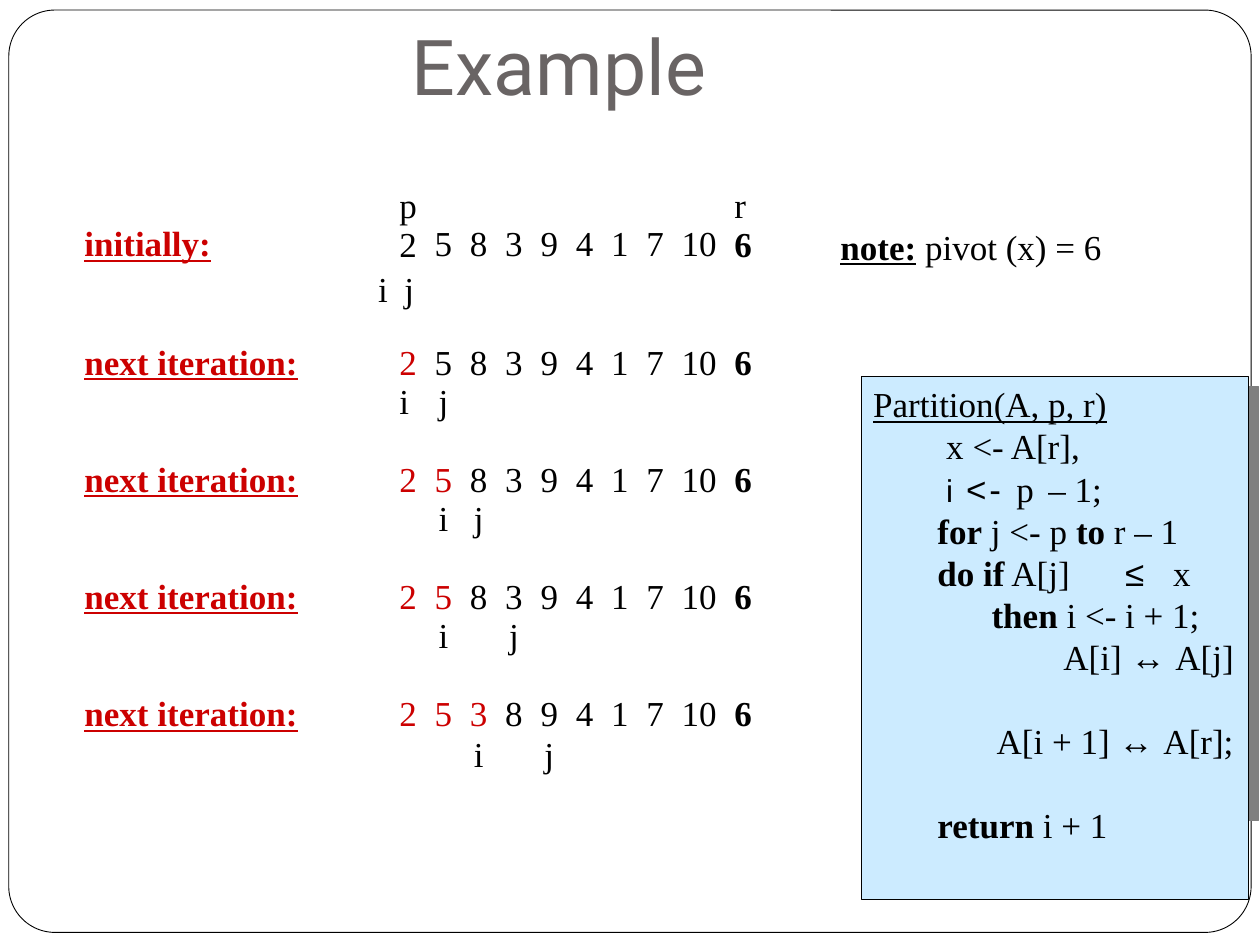
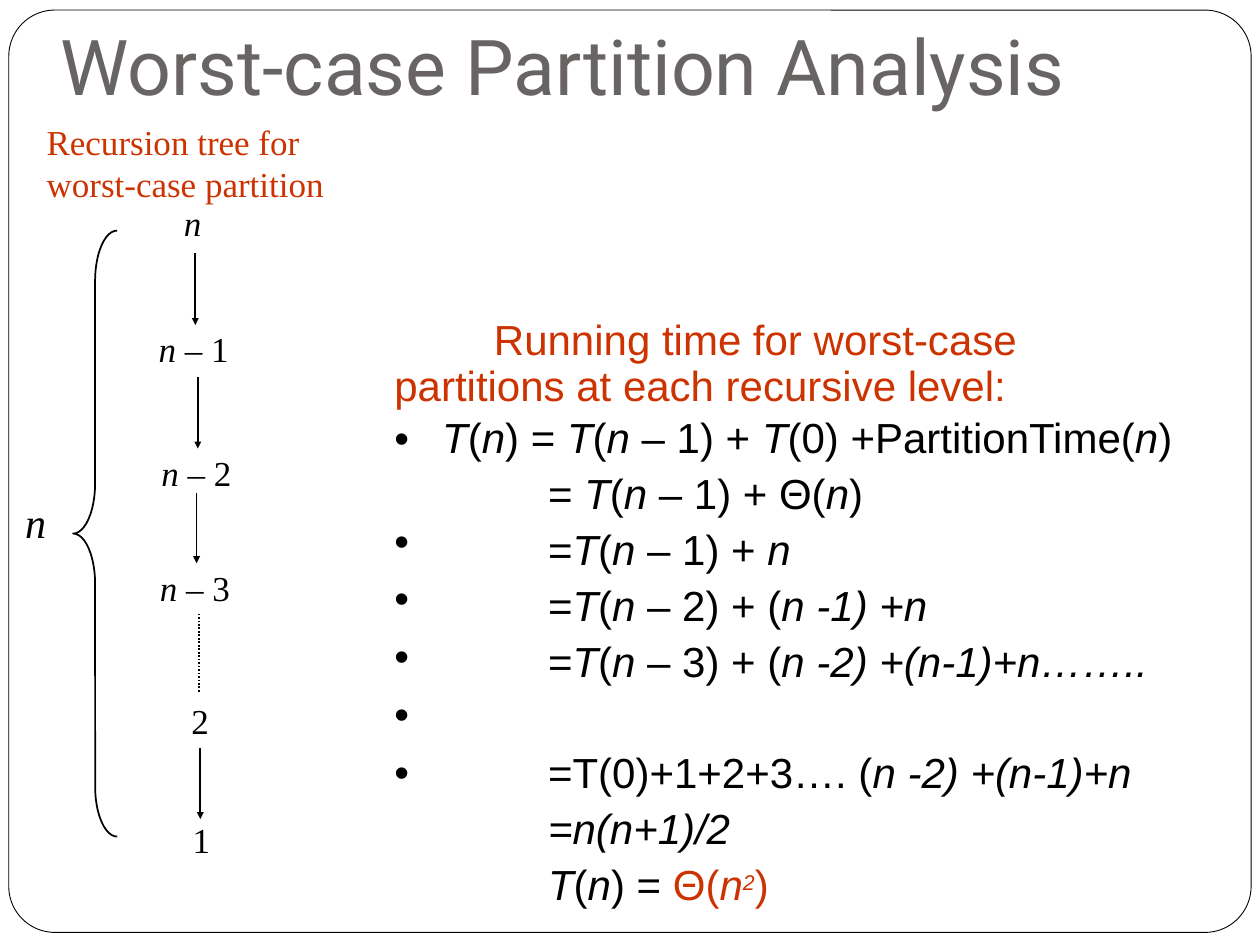
from lxml.etree import SubElement
from pptx import Presentation
from pptx.dml.color import RGBColor
from pptx.enum.dml import MSO_LINE
from pptx.enum.shapes import MSO_CONNECTOR, MSO_SHAPE
from pptx.enum.text import MSO_ANCHOR, MSO_AUTO_SIZE, PP_ALIGN
from pptx.oxml.ns import qn
from pptx.util import Inches, Pt

COLORS = {
    "white": "FFFFFF", "black": "000000", "title": "696464", "red": "CC0000",
    "rust": "CC3300", "shadow": "7F7F7F", "code": "CCEBFF",
}
SERIF, SANS = "Times New Roman", "Arial"
BODY = {"name": SERIF, "size": 20, "color": "black"}
FORMULA = {"name": SANS, "size": 24, "color": "black"}
LEADING = 1.2

COLUMN_WIDTHS = [2.04, 0.44, 0.26] + [0.28] * 7 + [0.42, 0.25]
ROW_HEIGHTS = [0.65, 0.47, 0.93, 0.93, 0.93, 0.79]
COLUMN_INDENTS = {0: 0.03, 2: 0.05, 10: 0.07, 11: 0.07}
FIRST_VALUE = 2
START = [2, 5, 8, 3, 9, 4, 1, 7, 10, 6]
SWAPPED = [2, 5, 3, 8, 9, 4, 1, 7, 10, 6]
ITERATIONS = [
    (START, 1, {2: "i", 3: "j"}),
    (START, 2, {3: "i", 4: "j"}),
    (START, 2, {3: "i", 5: "j"}),
    (SWAPPED, 3, {4: "i", 6: "j"}),
]


def color(name):
    return RGBColor.from_string(COLORS[name])


def marked(text, emphasis):
    runs = []
    for index, piece in enumerate(text.split("~")):
        for part, words in enumerate(piece.split("*")):
            style = {emphasis: part % 2 == 1}
            if index % 2:
                style["name"] = SANS
            if words:
                runs.append((words, style))
    return runs


def add_run(paragraph, text, style):
    run = paragraph.add_run()
    run.text = text
    for key, value in style.items():
        if key == "color":
            run.font.color.rgb = color(value)
        elif key in ("spc", "baseline"):
            run._r.get_or_add_rPr().set(key, str(value))
        else:
            setattr(run.font, key, Pt(value) if key == "size" else value)


def write_paragraph(paragraph, runs, base, left=0.01, first=0, before=0,
                    line=None, align=PP_ALIGN.LEFT, tabs=()):
    values = {"alignment": align, "space_before": Pt(before)}
    if line:
        values["line_spacing"] = Pt(line)
    for key, value in values.items():
        setattr(paragraph, key, value)
    properties = paragraph._p.get_or_add_pPr()
    properties.set("marL", str(Inches(left)))
    properties.set("indent", str(Inches(first)))
    if tabs:
        tab_list = SubElement(properties, qn("a:tabLst"))
        for position in tabs:
            SubElement(tab_list, qn("a:tab"), pos=str(Inches(position)), algn="l")
    for text, style in runs:
        add_run(paragraph, text, {**base, **style})


def write_paragraphs(frame, paragraphs, base):
    for index, (runs, layout) in enumerate(paragraphs):
        paragraph = frame.add_paragraph() if index else frame.paragraphs[0]
        layout = {"line": base["size"] * LEADING, **layout}
        write_paragraph(paragraph, runs, base, **layout)


def write_text(frame, paragraphs, base, top=0.01):
    settings = {
        "margin_left": 0, "margin_right": 0, "margin_bottom": 0,
        "margin_top": Inches(top), "word_wrap": True,
        "vertical_anchor": MSO_ANCHOR.TOP,
    }
    for key, value in settings.items():
        setattr(frame, key, value)
    write_paragraphs(frame, paragraphs, base)


def add_text(slide, box, paragraphs, base=BODY, top=0.01):
    text_box = slide.shapes.add_textbox(*map(Inches, box))
    write_text(text_box.text_frame, paragraphs, base, top)


def add_shape(slide, kind, box, fill=None, line="black", width=0.75):
    shape = slide.shapes.add_shape(kind, *map(Inches, box))
    shape.shadow.inherit = False
    if fill:
        shape.fill.solid()
        shape.fill.fore_color.rgb = color(fill)
    else:
        shape.fill.background()
    shape.line.color.rgb = color(line)
    shape.line.width = Pt(width)
    return shape


def add_link(slide, x, top, bottom, dotted=False):
    link = slide.shapes.add_connector(
        MSO_CONNECTOR.STRAIGHT, Inches(x), Inches(top), Inches(x), Inches(bottom))
    link.line.color.rgb = color("black")
    link.line.width = Pt(1)
    if dotted:
        link.line.dash_style = MSO_LINE.ROUND_DOT
    else:
        SubElement(link.line._get_or_add_ln(), qn("a:tailEnd"),
                   type="triangle", w="sm", len="sm")
    SubElement(link._element.spPr, qn("a:effectLst"))


def add_titled_slide(presentation, text, left, width):
    slide = presentation.slides.add_slide(presentation.slide_layouts[5])
    title = slide.shapes.title
    frame_shape = add_shape(slide, MSO_SHAPE.ROUNDED_RECTANGLE,
                            (0.07, 0.08, 9.86, 7.32), "white", width=0.5)
    frame_shape.adjustments[0] = 0.05
    title.element.addprevious(frame_shape.element)
    position = {"left": left, "top": 0.12, "width": width, "height": 0.76}
    for key, value in position.items():
        setattr(title, key, Inches(value))
    style = {"name": "Roboto", "size": 44, "color": "title"}
    write_text(title.text_frame, [([(text, {})], {"line": None})], style)
    title.text_frame.vertical_anchor = MSO_ANCHOR.BOTTOM
    title.text_frame.auto_size = MSO_AUTO_SIZE.SHAPE_TO_FIT_TEXT
    return slide


def write_cell(table, row, column, lines, top, **layout):
    if column in COLUMN_INDENTS:
        align = PP_ALIGN.LEFT
    else:
        align = PP_ALIGN.CENTER
    layout = {"align": align, "left": COLUMN_INDENTS.get(column, 0), **layout}
    paragraphs = [([(text, style)], {**layout, "line": spacing})
                  for text, style, spacing in lines]
    cell = table.cell(row, column)
    cell.margin_top = Inches(top)
    write_paragraphs(cell.text_frame, paragraphs, BODY)


def add_label(table, row, text, top):
    style = {"color": "red", "bold": True, "underline": True}
    write_cell(table, row, 0, [(text, style, None)], top)


def add_iteration_table(slide):
    table = slide.shapes.add_table(
        len(ROW_HEIGHTS), len(COLUMN_WIDTHS),
        Inches(0.64), Inches(1.49), Inches(5.36), Inches(4.71)).table
    table.first_row = table.horz_banding = False
    for column, width in zip(table.columns, COLUMN_WIDTHS):
        column.width = Inches(width)
    for row, height in zip(table.rows, ROW_HEIGHTS):
        row.height = Inches(height)
    for cell in table.iter_cells():
        cell.fill.background()
        for side in ("left", "right", "top", "bottom"):
            setattr(cell, f"margin_{side}", 0)

    last = len(COLUMN_WIDTHS) - 1
    bounds = {FIRST_VALUE: "p", last: "r"}
    add_label(table, 0, "initially:", 0.3)
    for column, value in enumerate(START, FIRST_VALUE):
        lines = [(str(value), {"bold": column == last}, None)]
        if column in bounds:
            lines.insert(0, (bounds[column], {}, 21.8))
        write_cell(table, 0, column, lines, 0 if column in bounds else 0.3)
    write_cell(table, 1, 1, [("i", {}, 22.8)], 0, left=0.32, align=PP_ALIGN.LEFT)
    write_cell(table, 1, 2, [("j", {}, 22.8)], 0, left=0.09)

    for row, (values, done, pointers) in enumerate(ITERATIONS, 2):
        add_label(table, row, "next iteration:", 0.12)
        for column, value in enumerate(values, FIRST_VALUE):
            shade = "red" if column < FIRST_VALUE + done else "black"
            lines = [(str(value), {"color": shade, "bold": column == last}, None)]
            if column in pointers:
                spacing = 23.4 if row == len(ROW_HEIGHTS) - 1 else None
                lines.append((pointers[column], {}, spacing))
            write_cell(table, row, column, lines, 0.12)


def add_partition_code(slide):
    add_shape(slide, MSO_SHAPE.RECTANGLE, (6.92, 3.07, 3.07, 3.44), "shadow", "shadow")
    panel = add_shape(slide, MSO_SHAPE.RECTANGLE, (6.84, 2.99, 3.07, 4.15), "code")
    counter = [("i ", {"name": SANS, "size": 18, "spc": 120}),
               ("<- ", {"name": SANS, "spc": 160}),
               ("p ", {"spc": 160}), ("– 1;", {})]
    lines = [
        ([("Partition(A, p, r)", {"underline": True})], {"left": 0.09}),
        (marked("x <- A[r],", "bold"), {"left": 0.67}),
        (counter, {"left": 0.67}),
        (marked("*for* j <- p *to* r – 1", "bold"), {"left": 0.6}),
        (marked("*do if* A[j]\t~≤~\tx", "bold"),
         {"left": 1.09, "first": -0.49, "tabs": (1.94, 2.13)}),
        (marked("*then* i <- i + 1;", "bold"), {"left": 1.03}),
        (marked("A[i] ~↔ ~A[j]", "bold"), {"left": 1.6}),
        (marked("A[i + 1] ~↔ ~A[r];", "bold"), {"left": 1.07, "before": 24}),
        (marked("*return* i + 1", "bold"), {"left": 0.6, "before": 24}),
    ]
    write_text(panel.text_frame, lines, BODY, 0.05)


def add_running_time(slide):
    heading = "Running time for worst-case partitions at each recursive level:"
    step = {"left": 1.26, "before": 3.1}
    rust = {"color": "rust"}
    result = marked("*T*(*n*) = ", "italic") + [
        ("Θ(", rust), ("n", {**rust, "italic": True}),
        ("2", {**rust, "italic": True, "size": 21, "baseline": 28000, "spc": -100}),
        (")", rust)]
    paragraphs = [
        ([(heading, rust)], {"left": 0.04, "first": 0.79, "line": 25.9}),
        (marked("*T*(*n*) = *T*(*n* – 1) + *T*(0) +PartitionTime(*n*)", "italic"),
         {"left": 0.42, "before": 2.8, "line": 27.4}),
        (marked("= *T*(*n* – 1) + Θ(*n*)", "italic"), step),
        (marked("=*T*(*n* – 1) + *n*", "italic"), step),
        (marked("=*T*(*n* – 2) + (*n -1) +n*", "italic"), step),
        (marked("=*T*(*n* – 3) + (*n -2) +(n-1)+n……..*", "italic"), step),
        (marked("=T(0)+1+2+3…. (*n -2) +(n-1)+n*", "italic"), {**step, "before": 35}),
        (marked("*=n(n+1)/2*", "italic"), step),
        (result, step),
    ]
    bullet = [("•", {})]
    add_text(slide, (3.12, 3.26, 0.15, 0.43), [(bullet, {})], FORMULA)
    add_text(slide, (3.09, 2.47, 6.33, 4.78), paragraphs, FORMULA, 0.06)
    add_text(slide, (3.12, 4, 0.15, 2.32), [(bullet, {"before": 4.2})] * 5, FORMULA, 0.08)


def add_recursion_tree(slide):
    caption = [("Recursion tree for worst-case partition", {"color": "rust"})]
    root = marked("*n*", "italic")
    add_text(slide, (0.36, 0.95, 2.4, 1),
             [(caption, {}), (root, {"left": 1.1, "line": 21.8})])
    nodes = [("*n* – 1", 1.25, 2.59, 0.59), ("*n* – 2", 1.27, 3.57, 0.59),
             ("*n* – 3", 1.26, 4.49, 0.59), ("2", 1.51, 5.54, 0.17),
             ("1", 1.52, 6.49, 0.17)]
    for text, left, top, width in nodes:
        add_text(slide, (left, top, width, 0.36), [(marked(text, "italic"), {})])
    links = [(1.55, 2.01, 2.58), (1.57, 2.99, 3.56), (1.56, 3.91, 4.47),
             (1.58, 4.87, 5.49, True), (1.59, 5.94, 6.5)]
    for link in links:
        add_link(slide, *link)
    brace = add_shape(slide, MSO_SHAPE.LEFT_BRACE, (0.58, 1.83, 0.35, 4.81), width=1)
    brace.adjustments[0] = 1.14
    add_text(slide, (0.19, 3.93, 0.19, 0.43), [(root, {})], {**BODY, "size": 24})


def main():
    presentation = Presentation()
    presentation.slide_width = Inches(10)
    presentation.slide_height = Inches(7.5)

    example = add_titled_slide(presentation, "Example", 3.26, 2.4)
    add_iteration_table(example)
    note = [("note:", {"bold": True, "underline": True}), (" pivot (x) = 6", {})]
    add_text(example, (6.66, 1.78, 2.11, 0.36), [(note, {})])
    add_partition_code(example)

    analysis = add_titled_slide(presentation, "Worst-case Partition Analysis", 0.47, 8.4)
    add_running_time(analysis)
    add_recursion_tree(analysis)

    presentation.save("out.pptx")


if __name__ == "__main__":
    main()
